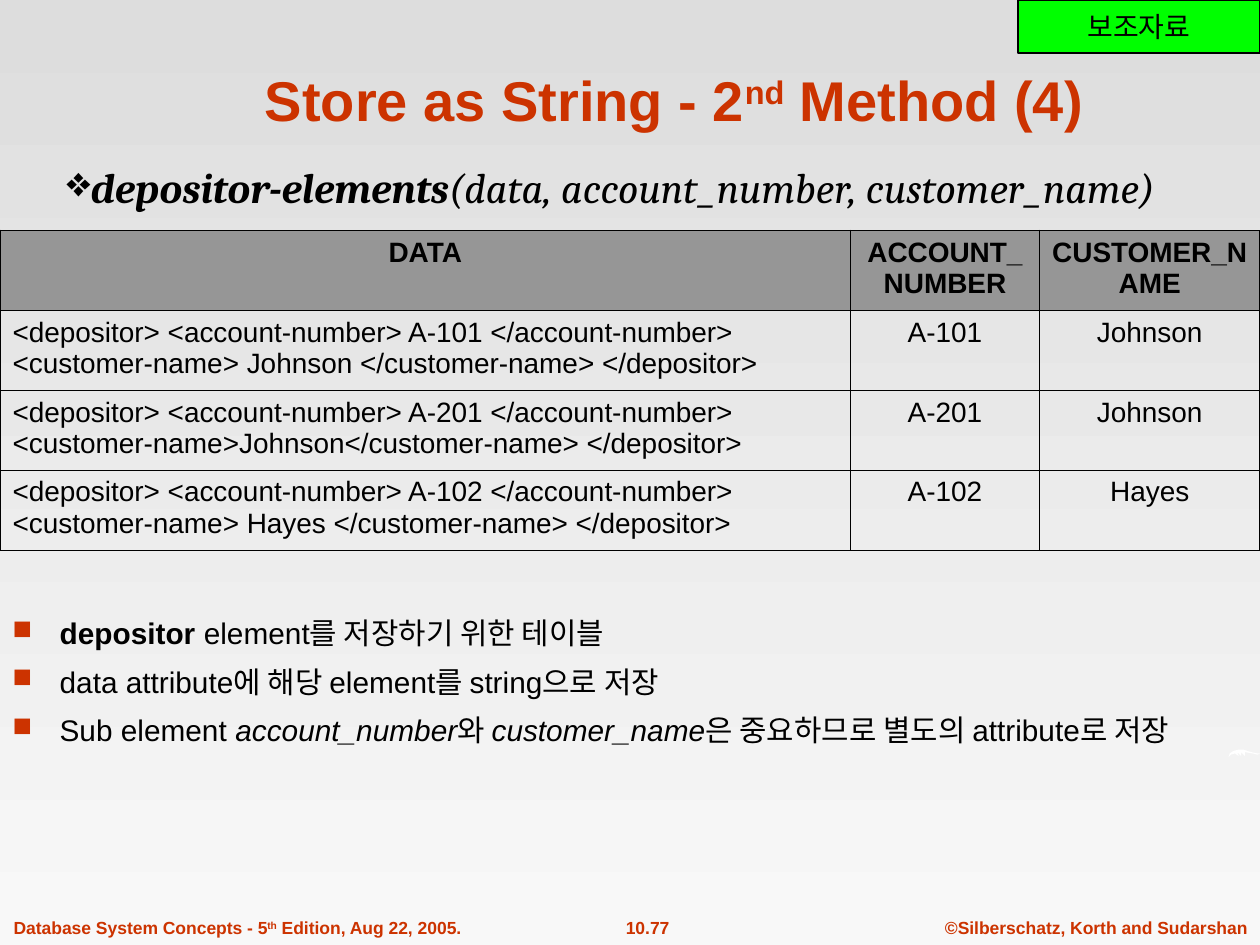
from dataclasses import dataclass

from lxml import etree
from pptx import Presentation
from pptx import util as u
from pptx.dml.color import RGBColor
from pptx.enum import shapes, text
from pptx.oxml.ns import qn


@dataclass(frozen=True)
class Theme:
    sans: str = "Arial"
    serif: str = "Cambria"
    accent: str = "CC3300"
    ink: str = "000000"
    header: str = "969696"
    tag: str = "00FF00"
    white: str = "FFFFFF"
    background: tuple = ("DDDDDD", "F8F8F8")
    title_size: int = 32
    schema_size: int = 24
    body_size: int = 17
    table_size: int = 16
    footer_size: int = 10
    thin: float = 0.45
    thick: float = 1.08


THEME = Theme()
WIDTH, HEIGHT = u.Inches(10), u.Inches(7.5)
COLUMNS, ROWS = 100, 75
LEFT, CENTER = text.PP_ALIGN.LEFT, text.PP_ALIGN.CENTER
BOLD, ITALIC = {"bold": True}, {"italic": True}
SUPERSCRIPT = {"baseline": "30000"}

TABLE_COLUMNS = (67.5, 15, 17.5)
TABLE_ROW = 6.35
HEADINGS = ("DATA", "ACCOUNT_NUMBER", "CUSTOMER_NAME")
DEPOSITORS = (
    ("A-101", "Johnson", " Johnson "),
    ("A-201", "Johnson", "Johnson"),
    ("A-102", "Hayes", " Hayes "),
)
NOTES = (
    (("depositor", BOLD), (" element를 저장하기 위한 테이블", {})),
    (("data attribute에 해당 element를 string으로 저장", {}),),
    (
        ("Sub element ", {}),
        ("account_number", ITALIC),
        ("와 ", {}),
        ("customer_name", ITALIC),
        ("은 중요하므로 별도의 attribute로 저장", {}),
    ),
)
FOOTERS = (
    (0.1, 37.6, LEFT, (("Database System Concepts - 5", {}), ("th", SUPERSCRIPT),
                       (" Edition, Aug 22, 2005.", {}))),
    (46.1, 10.6, CENTER, (("10.77", {}),)),
    (74, 26, CENTER, (("©Silberschatz, Korth and Sudarshan", {}),)),
)
SWOOSH = (
    (97.5, 60.1), (97.6, 59.8), (97.9, 59.6), (98.3, 59.5), (98.7, 59.5),
    (99.3, 59.7), (99.8, 59.8), (100, 59.8), (99.8, 59.9), (99.4, 59.8),
    (98.8, 59.7), (98.8, 60), (98.5, 59.7), (98.5, 60), (98.2, 59.7),
    (98.3, 60), (98, 59.8), (97.7, 59.9),
)


def across(columns):
    return round(WIDTH * columns / COLUMNS)


def down(rows):
    return round(HEIGHT * rows / ROWS)


def area(left, top, width, height):
    return across(left), down(top), across(width), down(height)


def color(value):
    return RGBColor.from_string(value)


def write(paragraph, runs, size, ink=THEME.ink, font=THEME.sans, align=LEFT, **common):
    paragraph.alignment = align
    for content, own in runs:
        run = paragraph.add_run()
        run.text = content
        run.font.color.rgb = color(ink)
        values = {"name": font, "size": u.Pt(size), "bold": False, "italic": False}
        values.update(common)
        values.update(own)
        baseline = values.pop("baseline", None)
        for name, value in values.items():
            setattr(run.font, name, value)
        if baseline:
            run._r.get_or_add_rPr().set("baseline", baseline)


def add_bullet(paragraph, character, ink, percent=100, hang=0):
    properties = paragraph._p.get_or_add_pPr()
    properties.set("marL", str(across(hang)))
    properties.set("indent", str(-across(hang)))
    bullet_color = etree.SubElement(properties, qn("a:buClr"))
    etree.SubElement(bullet_color, qn("a:srgbClr"), val=ink)
    etree.SubElement(properties, qn("a:buSzPct"), val=str(percent * 1000))
    etree.SubElement(properties, qn("a:buChar"), char=character)


def add_text_frame(slide, box, wrap=True):
    frame = slide.shapes.add_textbox(*area(*box)).text_frame
    frame.word_wrap = wrap
    return frame


def set_background(slide):
    fill = slide.background.fill
    fill.gradient()
    fill.gradient_angle = 270
    for stop, value in zip(fill.gradient_stops, THEME.background):
        stop.color.rgb = color(value)


def add_title(slide):
    title = slide.shapes.title
    title.left, title.top, title.width, title.height = area(15.3, 1.6, 76.4, 9.4)
    frame = title.text_frame
    settings = {"vertical_anchor": text.MSO_ANCHOR.BOTTOM, "word_wrap": True,
                "auto_size": text.MSO_AUTO_SIZE.NONE}
    for name, value in settings.items():
        setattr(frame, name, value)
    runs = (("Store as String - 2", {}), ("nd", SUPERSCRIPT), (" Method (4)", {}))
    write(frame.paragraphs[0], runs, THEME.title_size, THEME.accent, align=CENTER, bold=True)


def add_footers(slide):
    for left, width, align, runs in FOOTERS:
        frame = add_text_frame(slide, (left, 72.3, width, 2.7), wrap=False)
        write(frame.paragraphs[0], runs, THEME.footer_size, THEME.accent, align=align, bold=True)


def add_swoosh(slide):
    points = [(across(x), down(y)) for x, y in SWOOSH]
    builder = slide.shapes.build_freeform(*points[0])
    builder.add_line_segments(points[1:], close=True)
    shape = builder.convert_to_shape()
    shape.shadow.inherit = False
    shape.fill.solid()
    shape.fill.fore_color.rgb = color(THEME.white)
    shape.line.fill.background()


def set_borders(cell, top, bottom):
    properties = cell._tc.get_or_add_tcPr()
    widths = {"a:lnL": THEME.thick, "a:lnR": THEME.thick, "a:lnT": top, "a:lnB": bottom}
    for position, (tag, width) in enumerate(widths.items()):
        line = etree.Element(qn(tag), w=str(u.Pt(width)))
        fill = etree.SubElement(line, qn("a:solidFill"))
        etree.SubElement(fill, qn("a:srgbClr"), val=THEME.ink)
        properties.insert(position, line)


def add_depositor_table(slide):
    records = [HEADINGS] + [
        (f"<depositor> <account-number> {account} </account-number> "
         f"<customer-name>{tagged}</customer-name> </depositor>", account, customer)
        for account, customer, tagged in DEPOSITORS
    ]
    box = area(0, 18.3, sum(TABLE_COLUMNS), TABLE_ROW * len(records))
    table = slide.shapes.add_table(len(records), len(TABLE_COLUMNS), *box).table
    table.horz_banding = False
    for column, width in zip(table.columns, TABLE_COLUMNS):
        column.width = across(width)
    for row, record in enumerate(records):
        heading = row == 0
        top = THEME.thick if heading else THEME.thin
        bottom = THEME.thick if row == len(records) - 1 else THEME.thin
        table.rows[row].height = down(TABLE_ROW)
        for column, content in enumerate(record):
            cell = table.cell(row, column)
            if heading:
                cell.fill.solid()
                cell.fill.fore_color.rgb = color(THEME.header)
            else:
                cell.fill.background()
            set_borders(cell, top, bottom)
            align = CENTER if heading or column else LEFT
            write(cell.text_frame.paragraphs[0], ((content, {}),), THEME.table_size,
                  align=align, bold=heading)


def add_schema(slide):
    paragraph = add_text_frame(slide, (4.3, 12.3, 92.9, 9)).paragraphs[0]
    add_bullet(paragraph, "❖", THEME.ink)
    runs = (("depositor-elements", BOLD), ("(data, account_number, customer_name)", {}))
    write(paragraph, runs, THEME.schema_size, font=THEME.serif, italic=True)


def add_notes_list(slide):
    frame = add_text_frame(slide, (0, 48.3, 97.5, 13.1))
    for index, runs in enumerate(NOTES):
        paragraph = frame.add_paragraph() if index else frame.paragraphs[0]
        add_bullet(paragraph, "■", THEME.accent, percent=90, hang=3.75)
        paragraph.space_before = u.Pt(7.4 if index else 0)
        write(paragraph, runs, THEME.body_size)


def add_tag(slide):
    shape = slide.shapes.add_shape(shapes.MSO_SHAPE.RECTANGLE, *area(80.8, 0, 19.2, 4.2))
    shape.shadow.inherit = False
    shape.fill.solid()
    shape.fill.fore_color.rgb = color(THEME.tag)
    shape.line.color.rgb = color(THEME.ink)
    shape.line.width = u.Pt(0.75)
    shape.text_frame.word_wrap = False
    shape.text_frame.vertical_anchor = text.MSO_ANCHOR.MIDDLE
    write(shape.text_frame.paragraphs[0], (("보조자료", {}),), THEME.table_size, align=CENTER)


def main():
    presentation = Presentation()
    presentation.slide_width, presentation.slide_height = WIDTH, HEIGHT
    slide = presentation.slides.add_slide(presentation.slide_layouts[5])
    for build in (set_background, add_footers, add_swoosh, add_title,
                  add_depositor_table, add_schema, add_notes_list, add_tag):
        build(slide)
    presentation.save("out.pptx")


if __name__ == "__main__":
    main()
